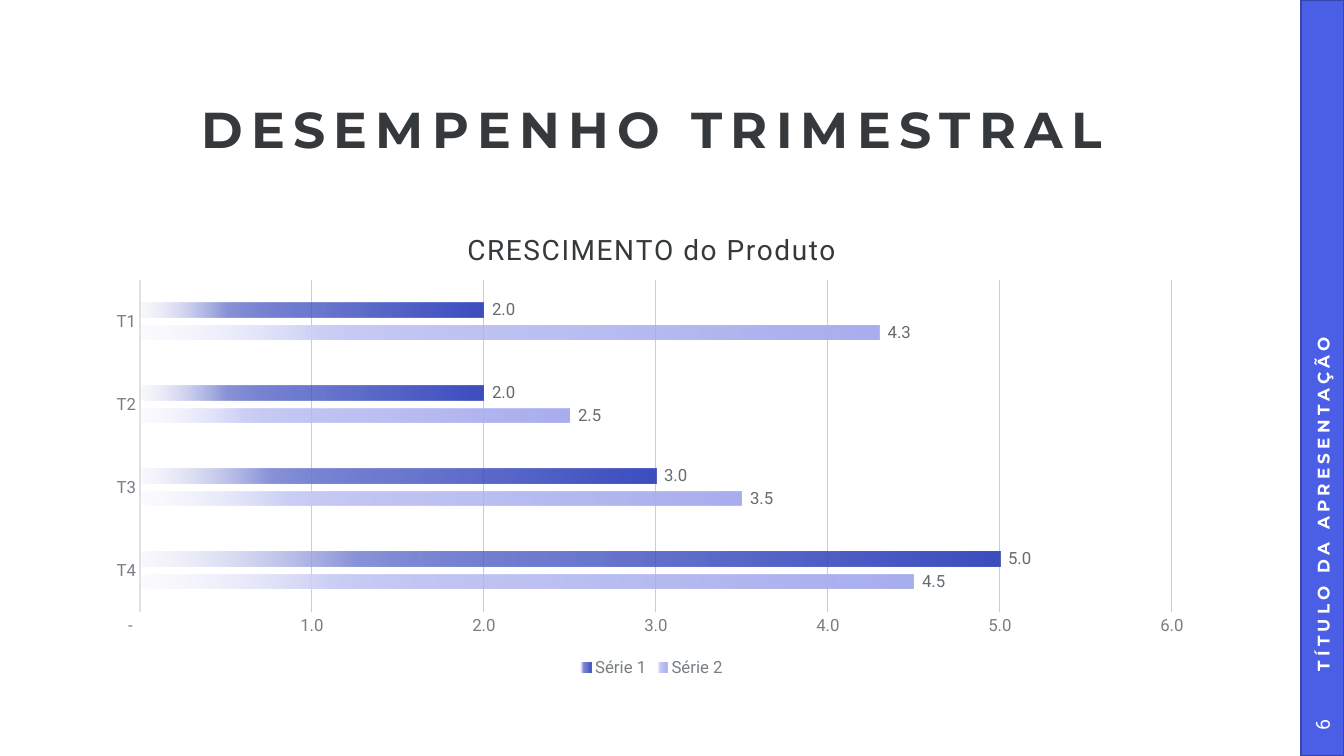
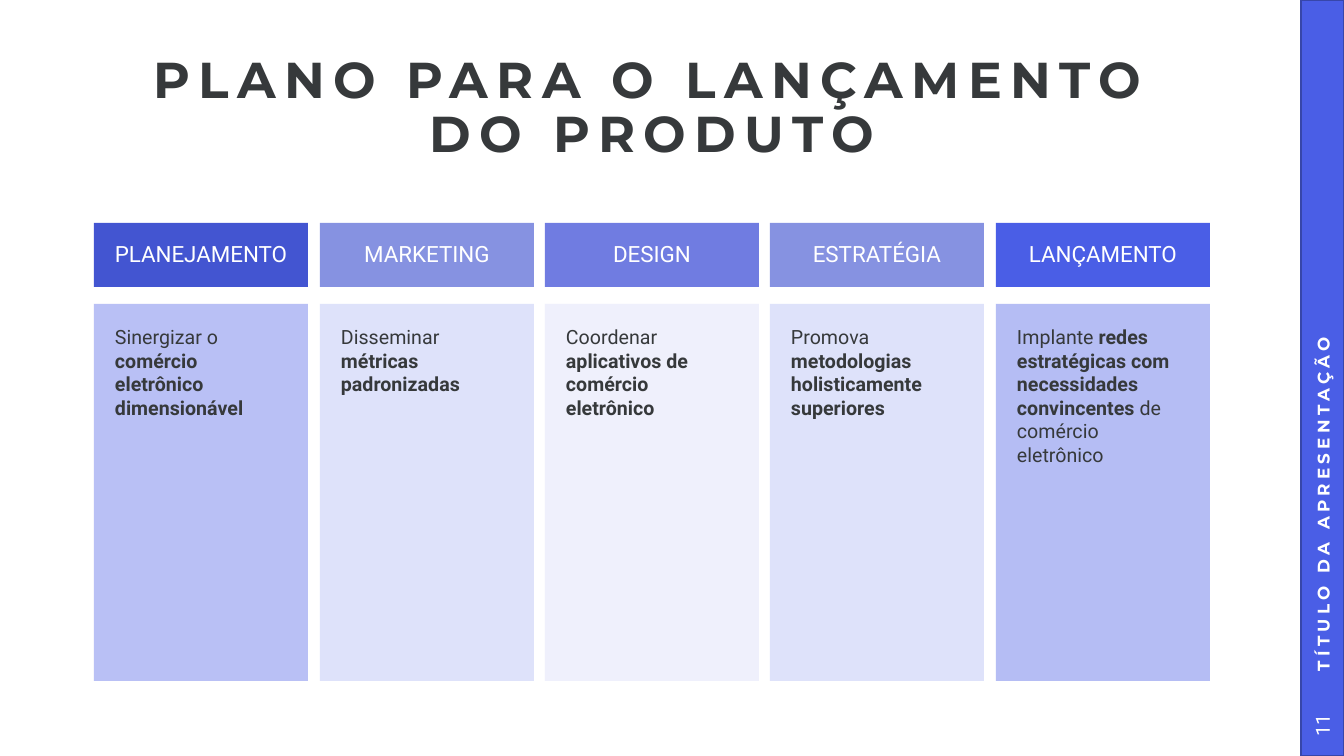
import pptx
import pptx.chart.data
import pptx.dml.color
import pptx.enum.chart
import pptx.enum.shapes
import pptx.enum.text
import pptx.oxml
import pptx.oxml.ns
import pptx.util
from lxml import etree

WIDE, HIGH = 1344, 756
SCALE = 12192000 / WIDE
HEAD, BODY = "Montserrat", "Roboto"
INK = {
    "text": "36393B", "white": "FFFFFF", "band": "4A5EE6", "edge": "3746AA",
    "axis": "787F84", "value": "656B6F", "rule": "E0E1E3", "grid": "CBCED0",
    "royal": "4355D1", "navy": "1C32C8", "iris": "707CE1",
    "sky": "929EF0", "pale": "B7BFF5", "mist": "DBDFFA",
}
RGB = pptx.dml.color.RGBColor.from_string
Pt = pptx.util.Pt
ALIGN = pptx.enum.text.PP_ALIGN
ANCHOR = pptx.enum.text.MSO_ANCHOR
RECT = pptx.enum.shapes.MSO_SHAPE.RECTANGLE
qn = pptx.oxml.ns.qn


def box(*px):
    """Turn px lengths into EMU."""
    return [pptx.util.Emu(round(n * SCALE)) for n in px]


def write(shape, parts, face, size, color, pads=(0, 0, 0, 0), align=ALIGN.CENTER,
          anchor=ANCHOR.MIDDLE, bold=False, track=0, lead=1.0):
    """Fill a shape with one paragraph; every second part is bold."""
    frame = shape.text_frame
    frame.word_wrap = True
    frame.auto_size = pptx.enum.text.MSO_AUTO_SIZE.NONE
    frame.vertical_anchor = anchor
    (frame.margin_left, frame.margin_top,
     frame.margin_right, frame.margin_bottom) = box(*pads)
    para = frame.paragraphs[0]
    para.alignment, para.line_spacing = align, lead
    font = para.font
    font.name, font.size, font.color.rgb = face, Pt(size), RGB(INK[color])
    for i, part in enumerate(parts):
        run = para.add_run()
        run.text = part
        run.font.bold = bold or i % 2 == 1
        if track:
            run._r.get_or_add_rPr().set("spc", str(track * 100))


deck = pptx.Presentation()
deck.slide_width, deck.slide_height = box(WIDE, HIGH)

# Title, side band, running title and number of each slide
slides = []
for title, top, tall, number in [
    ("DESEMPENHO TRIMESTRAL", 97, 71, "6"),
    ("PLANO PARA O LANÇAMENTO DO PRODUTO", 50, 118, "11"),
]:
    slide = deck.slides.add_slide(deck.slide_layouts[5])
    slides.append(slide)
    name = slide.shapes.title
    name.left, name.top, name.width, name.height = box(94, top, 1116, tall)
    write(name, [title], HEAD, 36, "text", bold=True, track=6, lead=0.9)

    band = slide.shapes.add_shape(RECT, *box(1301, 0, 43, HIGH))
    band.shadow.inherit = False
    band.fill.solid()
    band.fill.fore_color.rgb = RGB(INK["band"])
    band.line.color.rgb = RGB(INK["edge"])
    band.line.width = Pt(1)

    side = slide.shapes.add_textbox(*box(976, 326, 694, 42))
    side.rotation = 270
    write(side, ["TÍTULO DA APRESENTAÇÃO"], HEAD, 12, "white", (23, 5, 10, 5),
          ALIGN.LEFT, bold=True, track=3)
    page = slide.shapes.add_textbox(*box(1291, 704, 62, 42))
    page.rotation = 270
    write(page, [number], BODY, 14, "white", (10, 5, 10, 5))

# Slide 1: bar chart
FORMAT = r'_(* #,##0.0_);_(* \(#,##0.0\);_(* "-"??_);_(@_)'
data = pptx.chart.data.CategoryChartData(number_format=FORMAT)
data.categories = ["T4", "T3", "T2", "T1"]
data.add_series("Série 2", [4.5, 3.5, 2.5, 4.3])
data.add_series("Série 1", [5, 3, 2, 2])
chart = slides[0].shapes.add_chart(
    pptx.enum.chart.XL_CHART_TYPE.BAR_CLUSTERED, *box(94, 202, 1116, 480), data).chart
chart.font.name, chart.font.size = BODY, Pt(10)
chart.font.color.rgb = RGB(INK["text"])

chart.has_title = True
para = chart.chart_title.text_frame.paragraphs[0]
run = para.add_run()
run.text = "CRESCIMENTO do Produto"
run._r.get_or_add_rPr().set("spc", "100")
para.font.name, para.font.size, para.font.bold = BODY, Pt(20), False
para.font.color.rgb = RGB(INK["text"])
chart.chart_title.include_in_layout = False

chart.has_legend = True
chart.legend.position = pptx.enum.chart.XL_LEGEND_POSITION.BOTTOM
chart.legend.include_in_layout = False

cats, vals = chart.category_axis, chart.value_axis
for part in (cats.tick_labels, vals.tick_labels, chart.legend):
    part.font.name, part.font.size = BODY, Pt(12)
    part.font.color.rgb = RGB(INK["axis"])
for axis in (cats, vals):
    axis.major_tick_mark = axis.minor_tick_mark = pptx.enum.chart.XL_TICK_MARK.NONE
cats.format.line.color.rgb = RGB(INK["rule"])
cats.format.line.width = Pt(1.5)
vals.format.line.fill.background()
vals.minimum_scale, vals.maximum_scale, vals.major_unit = 0, 6, 1
vals.major_gridlines.format.line.color.rgb = RGB(INK["grid"])
vals.major_gridlines.format.line.width = Pt(0.75)
vals.tick_labels.number_format = FORMAT
vals.tick_labels.number_format_is_linked = False

plot = chart.plots[0]
plot.gap_width, plot.overlap = 326, -58
plot.vary_by_categories = False
for series, (deep, soft, faint) in zip(plot.series, [
    ("A9AEEF", "CBCEF5", "EEEFFC"), ("3D4EBF", "8A94D9", "D8DBF2"),
]):
    stops = "".join(
        f'<a:gs pos="{at}000"><a:srgbClr val="{tone}"><a:alpha val="{alpha}000"/>'
        "</a:srgbClr></a:gs>"
        for at, tone, alpha in [(0, deep, 100), (51, deep, 75), (75, soft, 100),
                                (100, faint, 15)])
    series._element.get_or_add_spPr().insert(0, pptx.oxml.parse_xml(
        f'<a:gradFill {pptx.oxml.ns.nsdecls("a")}><a:gsLst>{stops}</a:gsLst>'
        '<a:lin ang="10800000" scaled="0"/></a:gradFill>'))
    labels = series.data_labels
    labels.show_value = True
    labels.position = pptx.enum.chart.XL_LABEL_POSITION.OUTSIDE_END
    labels.number_format, labels.number_format_is_linked = FORMAT, False
    labels.font.name, labels.font.size = BODY, Pt(12)
    labels.font.color.rgb = RGB(INK["value"])

# Fixed places of the chart title and the plot, as shares of the chart
for owner, places in [
    (chart.chart_title._element, [("xMode", "edge"), ("yMode", "edge"),
                                  ("x", 0.33), ("y", 0.05)]),
    (chart._chartSpace.chart.plotArea, [
        ("layoutTarget", "inner"), ("xMode", "edge"), ("yMode", "edge"),
        ("x", round(46 / 1116, 4)), ("y", round(78 / 480, 4)),
        ("w", round(1032 / 1116, 4)), ("h", round(332 / 480, 4))]),
]:
    layout = owner.find(qn("c:layout"))
    if layout is None:
        layout = etree.Element(qn("c:layout"))
        owner.insert(1 if owner.find(qn("c:tx")) is not None else 0, layout)
    manual = etree.SubElement(layout, qn("c:manualLayout"))
    for key, value in places:
        etree.SubElement(manual, qn("c:" + key), val=str(value))

# Slide 2: five columns, each a heading over a card; tones carry opacity in percent
columns = [
    ("PLANEJAMENTO", "royal", 100, "sky", 64,
     ["Sinergizar o ", "comércio eletrônico dimensionável"]),
    ("MARKETING", "navy", 53, "pale", 45,
     ["Disseminar ", "métricas padronizadas"]),
    ("DESIGN", "iris", 100, "mist", 44,
     ["Coordenar ", "aplicativos de comércio eletrônico"]),
    ("ESTRATÉGIA", "navy", 53, "pale", 45,
     ["Promova ", "metodologias holisticamente superiores"]),
    ("LANÇAMENTO", "band", 100, "sky", 68,
     ["Implante ", "redes estratégicas com necessidades convincentes",
      " de comércio eletrônico"]),
]
LEFT, WIDTH, RIGHT = 94, 214, 1210
STEP = (RIGHT - WIDTH - LEFT) / (len(columns) - 1)
for i, (head, tone, solid, tint, sheer, parts) in enumerate(columns):
    left = round(LEFT + i * STEP)
    pair = []
    for top, tall, color, alpha in [(223, 64, tone, solid), (304, 377, tint, sheer)]:
        card = slides[1].shapes.add_shape(RECT, *box(left, top, WIDTH, tall))
        card.shadow.inherit = False
        card.line.fill.background()
        card.fill.solid()
        card.fill.fore_color.rgb = RGB(INK[color])
        if alpha < 100:
            paint = card._element.spPr.find(".//" + qn("a:srgbClr"))
            etree.SubElement(paint, qn("a:alpha"), val=str(alpha * 1000))
        pair.append(card)
    write(pair[0], [head], BODY, 16, "white", (17,) * 4, lead=0.9)
    write(pair[1], parts, BODY, 14, "text", (21,) * 4, ALIGN.LEFT, ANCHOR.TOP)

deck.save("out.pptx")
